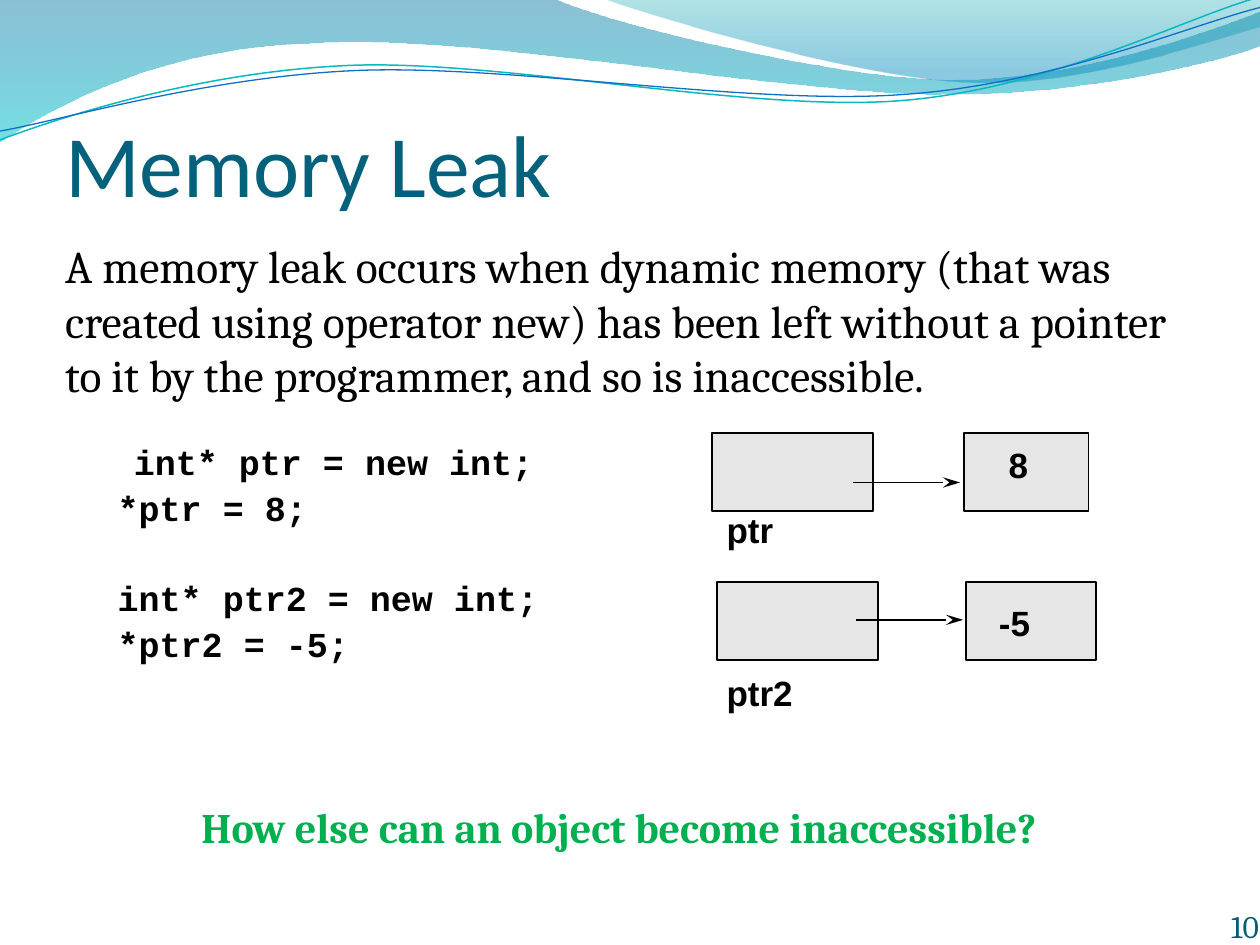
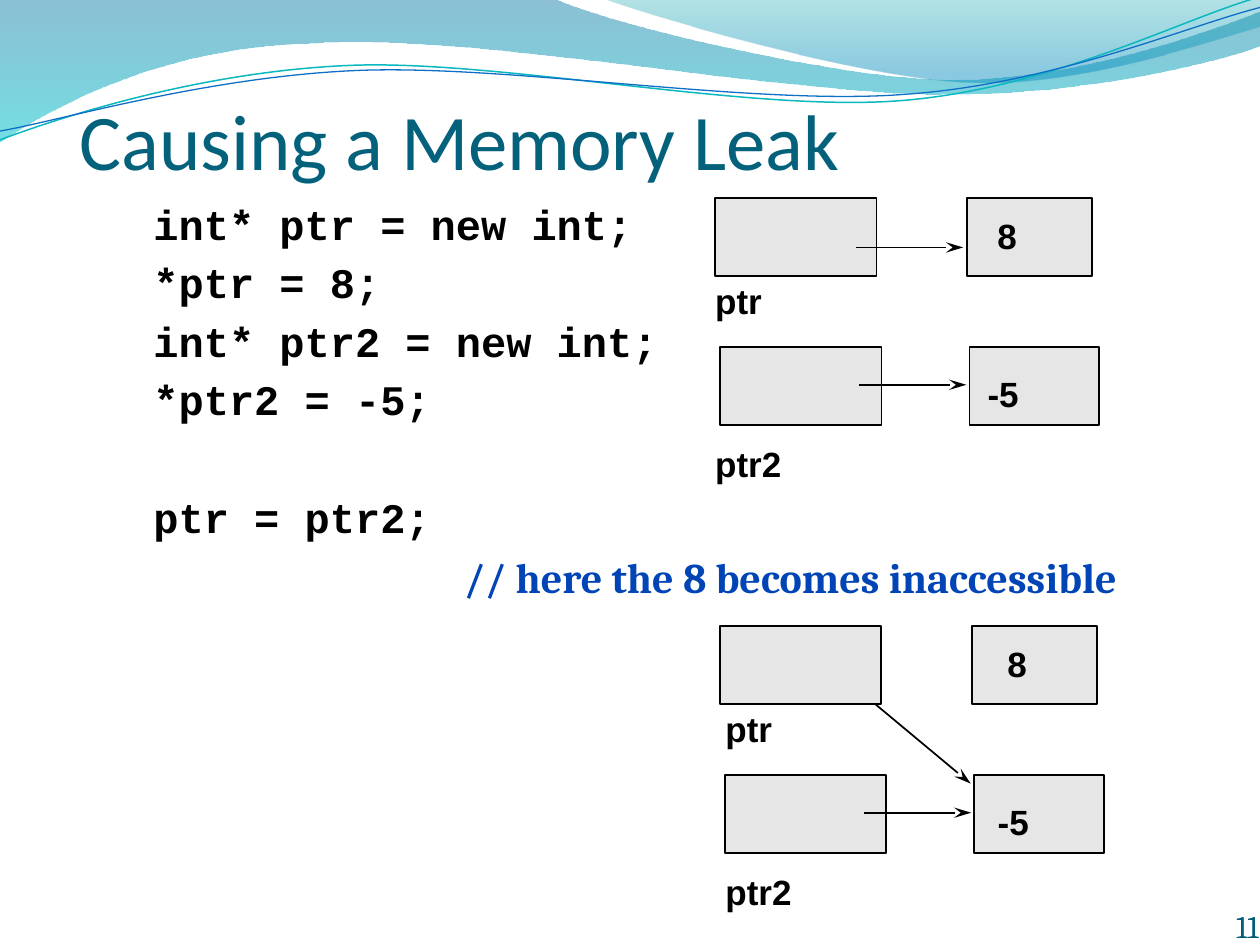
from math import cos, radians, sin

from lxml import etree
from pptx import Presentation
from pptx.dml.color import RGBColor
from pptx.enum.shapes import MSO_CONNECTOR, MSO_SHAPE
from pptx.enum.text import MSO_ANCHOR, PP_ALIGN
from pptx.oxml.ns import qn
from pptx.util import Pt

STRAIGHT = MSO_CONNECTOR.STRAIGHT
RECTANGLE = MSO_SHAPE.RECTANGLE
TOP, BOTTOM = MSO_ANCHOR.TOP, MSO_ANCHOR.BOTTOM
LEFT, RIGHT = PP_ALIGN.LEFT, PP_ALIGN.RIGHT

BLACK = RGBColor(0x00, 0x00, 0x00)
TITLE_TEAL = RGBColor(0x04, 0x61, 0x7B)
NUMBER_TEAL = RGBColor(0x04, 0x5D, 0x75)
QUESTION_GREEN = RGBColor(0x00, 0xB0, 0x50)
COMMENT_BLUE = RGBColor(0x00, 0x44, 0xB5)
CELL_GRAY = RGBColor(0xE6, 0xE6, 0xE6)
WAVE_BLUE = RGBColor(0x00, 0x74, 0xA1)
WAVE_AQUA = RGBColor(0x00, 0xC6, 0xCF)
CREST_TEAL = RGBColor(0x00, 0xA1, 0xA9)
CREST_BLUE = RGBColor(0x00, 0x8B, 0xBF)
STRAND_AQUA = RGBColor(0x0A, 0xB8, 0xBF)
STRAND_BLUE = RGBColor(0x0F, 0x6F, 0xC6)

HEADING, BODY, LABEL, CODE = "Calibri", "Cambria", "Arial", "Courier New"
INSETS = (7.2, 3.6, 7.2, 3.6)
NO_INSETS = (0, 0, 0, 0)
STRAND_TILT = -2.7

# Outlines in points: a pair is a straight step, six numbers are a Bezier step.
WAVE = [(0, 0), (316.8, -0.7),
        (342.7, 12.2, 478.1, 45.4, 545.8, 45.4), (614.2, 45.4, 689.8, 18.7, 720, 6.5),
        (720.7, 25.9), (707.8, 31.7, 626.4, 54.7, 537.1, 54),
        (447.8, 54, 275, 20.2, 185, 24.5), (92.9, 25.9, 33.1, 59.8, -0.7, 81.4)]
CREST = [(344.9, -0.7), (366.5, 7.9, 491, 44.6, 553.7, 46.8),
         (616.3, 49.7, 691.9, 23, 720, 15.1), (720, 0)]
AQUA_STRAND = [(0, 79.9), (34.6, 67, 113.8, 41, 199.4, 37.4),
               (284.4, 33.8, 427, 64.1, 513.4, 57.6), (599.8, 51.1, 675.4, 10.8, 718.6, -1.4)]
BLUE_STRAND = [(0, 74.9), (33.8, 69.1, 118.1, 43.9, 203.8, 40.3),
               (290.2, 36.7, 429.8, 60.5, 516.2, 54), (601.9, 48.2, 677.5, 15.1, 720, 4.3)]


def add_outline(page, steps, closed):
    """Build the outline through all knots, then join Bezier triples into curves."""
    points = [(Pt(x), Pt(y)) for step in steps for x, y in zip(step[::2], step[1::2])]
    builder = page.shapes.build_freeform(*points[0])
    builder.add_line_segments(points[1:], close=closed)
    outline = builder.convert_to_shape()
    outline.shadow.inherit = False
    segments = iter(list(outline._element.iter(qn("a:lnTo"))))
    for step in steps[1:]:
        first = next(segments)
        if len(step) == 6:
            first.tag_name = None
            curve = etree.Element(qn("a:cubicBezTo"))
            first.addprevious(curve)
            for segment in (first, next(segments), next(segments)):
                curve.append(segment[0])
                segment.getparent().remove(segment)
    return outline


def add_band(page, steps, stops):
    """Draw a filled wave; each stop is (position, colour, opacity percent)."""
    band = add_outline(page, steps, True)
    band.line.fill.background()
    band.fill.gradient()
    band.fill.gradient_angle = 270
    for stop, (position, color, _) in zip(band.fill.gradient_stops, stops):
        stop.position = position
        stop.color.rgb = color
    for tint, (_, _, opacity) in zip(band._element.spPr.iter(qn("a:srgbClr")), stops):
        etree.SubElement(tint, qn("a:alpha")).set("val", str(opacity * 1000))


def turn(step, center, degrees):
    angle = radians(degrees)
    turned = []
    for x, y in zip(step[::2], step[1::2]):
        across, down = x - center[0], y - center[1]
        turned += [center[0] + across * cos(angle) - down * sin(angle),
                   center[1] + across * sin(angle) + down * cos(angle)]
    return turned


def add_strand(page, steps, center, color, width):
    """Draw a thin line that is level in itself and tilted as a shape."""
    strand = add_outline(page, [turn(step, center, -STRAND_TILT) for step in steps], False)
    strand.rotation = STRAND_TILT
    strand.fill.background()
    strand.line.color.rgb = color
    strand.line.width = Pt(width)


def style_paragraph(paragraph, font, size, color, bold=False):
    for span in paragraph.runs:
        span.font.name = font
        span.font.size = Pt(size)
        span.font.color.rgb = color
        span.font.bold = bold


def add_text(page, text, area, font, size, color=BLACK, bold=False,
             align=LEFT, anchor=TOP, insets=INSETS):
    box = page.shapes.add_textbox(*[Pt(length) for length in area])
    frame = box.text_frame
    (frame.margin_left, frame.margin_top,
     frame.margin_right, frame.margin_bottom) = [Pt(inset) for inset in insets]
    frame.word_wrap = True
    frame.vertical_anchor = anchor
    frame.text = text
    for paragraph in frame.paragraphs:
        paragraph.alignment = align
        style_paragraph(paragraph, font, size, color, bold)
    return frame


def indent(paragraph, distance):
    paragraph._p.get_or_add_pPr().set("marL", str(Pt(distance)))


def add_code(page, lines, area, size, pitch, gap_before, top_inset):
    """Set code at a fixed line pitch, with one empty line before line gap_before."""
    frame = add_text(page, "\n".join(lines), area, CODE, size, bold=True,
                     insets=(7.2, top_inset, 7.2, 0))
    for paragraph in frame.paragraphs:
        indent(paragraph, size * 0.6)
        paragraph.line_spacing = Pt(pitch)
    frame.paragraphs[gap_before].space_before = Pt(pitch)
    return frame


def add_cell(page, left, top, width):
    cell = page.shapes.add_shape(RECTANGLE, Pt(left), Pt(top), Pt(width), Pt(44.6))
    cell.shadow.inherit = False
    cell.fill.solid()
    cell.fill.fore_color.rgb = CELL_GRAY
    cell.line.color.rgb = BLACK
    cell.line.width = Pt(1)


def add_arrow(page, start_x, start_y, end_x, end_y):
    arrow = page.shapes.add_connector(STRAIGHT, Pt(start_x), Pt(start_y), Pt(end_x), Pt(end_y))
    arrow.line.color.rgb = BLACK
    arrow.line.width = Pt(1)
    head = etree.SubElement(arrow.line._get_or_add_ln(), qn("a:tailEnd"))
    head.set("type", "stealth")
    head.set("len", "lg")
    etree.SubElement(arrow._element.spPr, qn("a:effectLst"))


def add_memory_labels(page, left, top):
    frame = add_text(page, "8\nptr\n-5\nptr2", (left, top, 270, 215), LABEL, 20,
                     bold=True, insets=(7.2, 44.5, 7.2, 3.6))
    for paragraph, distance in zip(frame.paragraphs, (166.8, 5.6, 161.2, 5.6)):
        indent(paragraph, distance)
    for paragraph, gap in zip(frame.paragraphs[1:], (13.2, 29.3, 15.7)):
        paragraph.space_before = Pt(gap)


def add_memory_diagram(page, left, top, leaked=False):
    """Draw both pointers with their targets; when leaked, ptr points at -5 too."""
    if leaked:
        add_arrow(page, left + 78.5, top + 36, left + 143.3, top + 90)
    add_cell(page, left, top, 92.2)
    add_cell(page, left + 2.9, top + 85, 92.2)
    add_cell(page, left + 144, top, 71.3)
    add_cell(page, left + 145.4, top + 85, 74.2)
    if not leaked:
        add_arrow(page, left + 80.6, top + 28.1, left + 141.8, top + 28.1)
    add_arrow(page, left + 82.1, top + 106.6, left + 143.6, top + 106.6)


def add_page(deck, number):
    page = deck.slides.add_slide(deck.slide_layouts[6])
    add_band(page, WAVE, [(0, WAVE_BLUE, 45), (1, WAVE_AQUA, 55)])
    add_band(page, CREST, [(0, CREST_TEAL, 30), (0.8, CREST_BLUE, 45)])
    add_strand(page, AQUA_STRAND, (359.3, 41.4), STRAND_AQUA, 0.85)
    add_strand(page, BLUE_STRAND, (359.6, 42.5), STRAND_BLUE, 0.75)
    add_text(page, str(number), (569.5, 504, 149.8, 36), BODY, 18, NUMBER_TEAL,
             align=RIGHT, anchor=BOTTOM, insets=NO_INSETS)
    return page


def add_definition_page(deck):
    page = add_page(deck, 10)
    code = add_code(page, ["int* ptr = new int;", "*ptr = 8;",
                           "int* ptr2 = new int;", "*ptr2 = -5;"],
                    (48.2, 247.7, 671.8, 290), 20, 25.9, gap_before=2, top_inset=2.3)
    indent(code.paragraphs[0], 21.2)
    add_memory_diagram(page, 406.8, 247.6)
    add_memory_labels(page, 402.5, 208.8)
    question = add_text(page, "How else can an object become inaccessible?",
                        (108, 457.9, 612, 33.8), BODY, 24, QUESTION_GREEN, bold=True)
    question.paragraphs[0].line_spacing = 0.9
    add_text(page, "Memory Leak", (30.2, 59.5, 648, 90), HEADING, 50, TITLE_TEAL)
    add_text(page, "A memory leak occurs when dynamic memory (that was created using "
             "operator new) has been left without a pointer to it by the programmer, "
             "and so is inaccessible.", (30.2, 132.5, 648, 115.2), BODY, 26)


def add_cause_page(deck):
    page = add_page(deck, 11)
    add_text(page, "Causing a Memory Leak", (45.4, 69.8, 529.2, 36.7), HEADING, 45,
             TITLE_TEAL, anchor=BOTTOM, insets=(0, 3.6, 0, 0))
    code = add_code(page, ["int* ptr = new int;", "*ptr = 8;", "int* ptr2 = new int;",
                           "*ptr2 = -5;", "ptr = ptr2;",
                           "// here the 8 becomes inaccessible"],
                    (66.2, 108.5, 619.2, 307.4), 24, 33.5, gap_before=4, top_inset=0)
    comment = code.paragraphs[-1]
    indent(comment, 191.9)
    comment.space_before = Pt(1)
    style_paragraph(comment, BODY, 24, COMMENT_BLUE, bold=True)
    add_memory_diagram(page, 408.6, 113.3)
    add_memory_diagram(page, 411.4, 357.8, leaked=True)
    add_memory_labels(page, 401.8, 322.6)
    add_memory_labels(page, 396, 77.8)


def main():
    deck = Presentation()
    deck.slide_width = Pt(720)
    deck.slide_height = Pt(540)
    add_definition_page(deck)
    add_cause_page(deck)
    deck.save("out.pptx")


if __name__ == "__main__":
    main()
